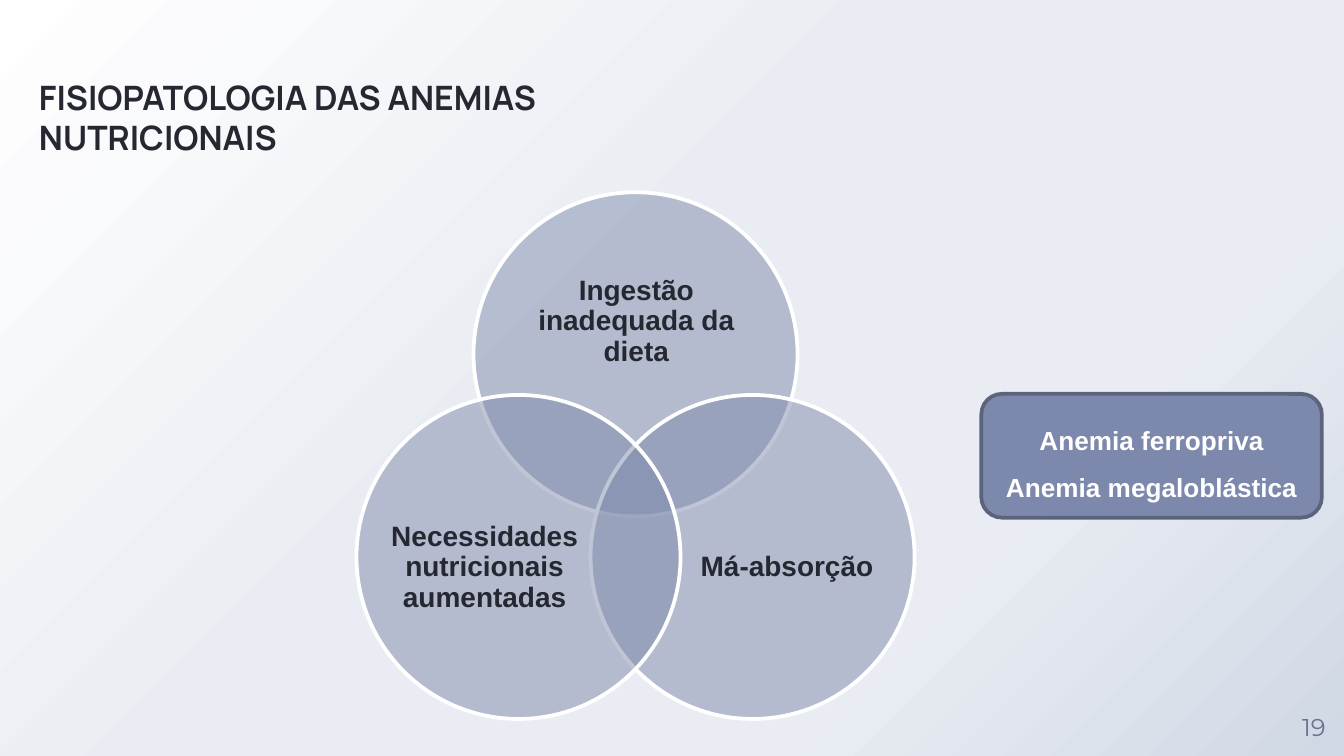
from lxml import etree
from pptx import Presentation
from pptx.dml.color import RGBColor
from pptx.enum.shapes import MSO_SHAPE
from pptx.enum.text import MSO_ANCHOR, PP_ALIGN
from pptx.oxml import parse_xml
from pptx.oxml.ns import nsdecls, qn
from pptx.util import Pt


def color(value):
    return RGBColor.from_string(value)


def write(frame, lines, font, size, ink, bold=True, align=PP_ALIGN.CENTER,
          anchor=MSO_ANCHOR.MIDDLE, spacing=1.0, insets=(0, 0)):
    """Fill a text frame, one paragraph a line; insets are (sides, top and bottom)."""
    frame.word_wrap = True
    frame.vertical_anchor = anchor
    frame.margin_left = frame.margin_right = Pt(insets[0])
    frame.margin_top = frame.margin_bottom = Pt(insets[1])
    for index, line in enumerate(lines):
        paragraph = frame.paragraphs[0] if index == 0 else frame.add_paragraph()
        paragraph.alignment = align
        paragraph.line_spacing = spacing
        run = paragraph.add_run()
        run.text = line
        run.font.name = font
        run.font.size = Pt(size)
        run.font.bold = bold
        run.font.color.rgb = color(ink)


DARK = "252831"

prs = Presentation()
prs.slide_width, prs.slide_height = Pt(720), Pt(405)
slide = prs.slides.add_slide(prs.slide_layouts[5])

# Background: diagonal gradient with four stops
background = slide.background.fill
background.gradient()
stops = background.gradient_stops
stop_list = background._fill._gradFill.find(qn("a:gsLst"))
for stop in list(stop_list):
    stop_list.remove(stop)
for position, shade in [(0, "FFFFFF"), (44, "E9EDF3"), (72, "E9EDF3"), (100, "D0D8E5")]:
    stop_list.append(parse_xml(
        f'<a:gs {nsdecls("a")} pos="{position * 1000}"><a:srgbClr val="{shade}"/></a:gs>'))
direction = background._fill._gradFill.find(qn("a:lin"))
direction.set("ang", str(45 * 60000))
direction.set("scaled", "0")

# Title
title = slide.shapes.title
title.left, title.top, title.width, title.height = Pt(20.9), Pt(16.6), Pt(282.2), Pt(67.7)
write(title.text_frame, ["FISIOPATOLOGIA DAS ANEMIAS NUTRICIONAIS"], "Manrope", 18, DARK,
      align=PP_ALIGN.LEFT, anchor=MSO_ANCHOR.BOTTOM)

# Page number
page_number = slide.shapes.add_textbox(Pt(687.6), Pt(373), Pt(32.4), Pt(32.4))
write(page_number.text_frame, ["19"], "Montserrat", 13, "68728D", bold=False)

# Venn diagram: circle centre, then the label's box
DIAMETER = 173.6
causes = [
    ("Ingestão inadequada da dieta", (340.5, 189.8), (277.2, 133.2, 127.4, 78.5)),
    ("Má-absorção", (403.2, 298.4), (369.4, 256.3, 104.4, 95.8)),
    ("Necessidades nutricionais aumentadas", (277.8, 298.4), (207.4, 256.3, 104.4, 95.8)),
]
venn = slide.shapes.add_group_shape()
for cause, (center_x, center_y), label_box in causes:
    circle = venn.shapes.add_shape(
        MSO_SHAPE.OVAL, Pt(center_x - DIAMETER / 2), Pt(center_y - DIAMETER / 2),
        Pt(DIAMETER), Pt(DIAMETER))
    circle.shadow.inherit = False
    circle.fill.solid()
    circle.fill.fore_color.rgb = color("7D89AB")
    fill_color = circle.fill._xPr.find(qn("a:solidFill")).find(qn("a:srgbClr"))
    etree.SubElement(fill_color, qn("a:alpha"), val="49000")
    circle.line.color.rgb = color("FFFFFF")
    circle.line.width = Pt(2)
    label = venn.shapes.add_textbox(*[Pt(length) for length in label_box])
    write(label.text_frame, [cause], "Arial", 15, DARK, spacing=0.9)

# Resulting anemias
anemias = slide.shapes.add_shape(
    MSO_SHAPE.ROUNDED_RECTANGLE, Pt(525.7), Pt(211), Pt(182.4), Pt(66.3))
anemias.shadow.inherit = False
anemias.fill.solid()
anemias.fill.fore_color.rgb = color("7D89AC")
anemias.line.color.rgb = color("5B637D")
anemias.line.width = Pt(2)
write(anemias.text_frame, ["Anemia ferropriva", "Anemia megaloblástica"], "Arial", 14, "FFFFFF",
      spacing=1.5, insets=(7.2, 3.6))

prs.save("out.pptx")
